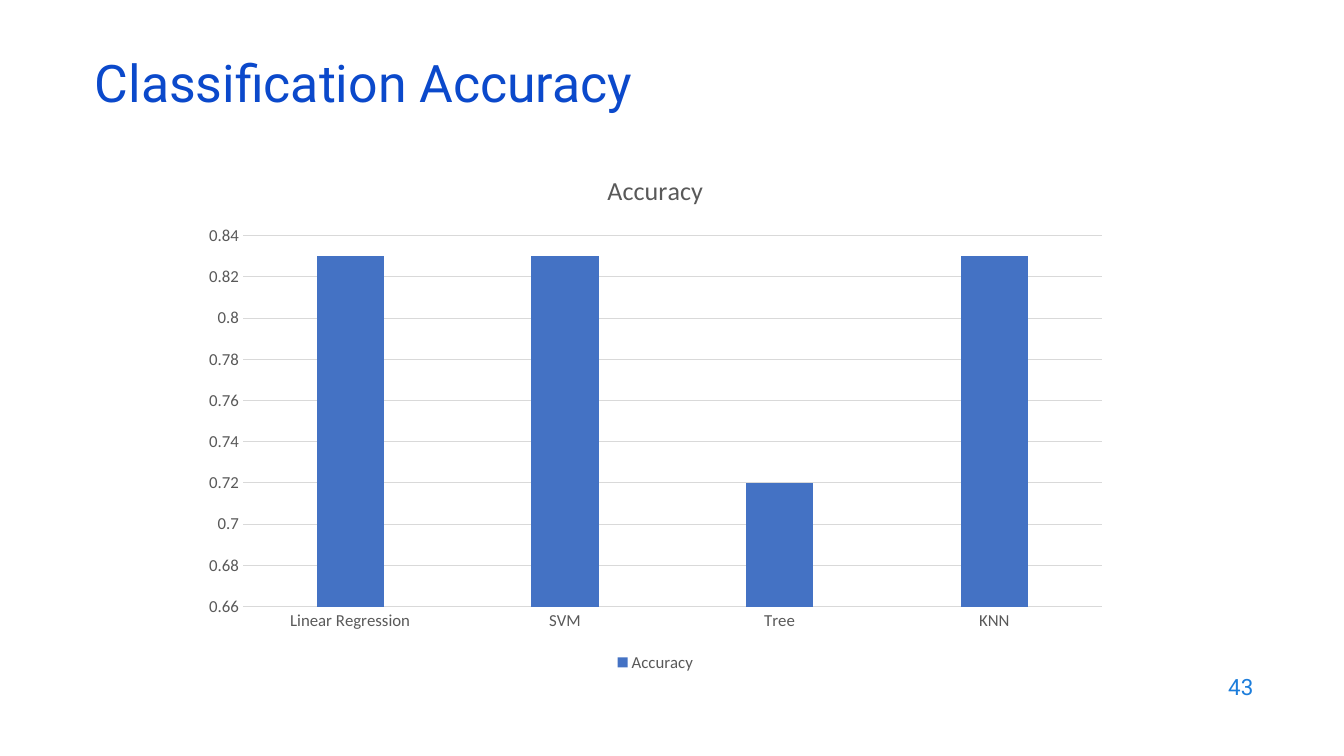
"""Build the classification accuracy slide with its column chart."""
from dataclasses import dataclass
from typing import Any

import pptx
import pptx.chart.data
import pptx.dml.color
import pptx.enum.chart
import pptx.enum.text
import pptx.util

Inches = pptx.util.Inches
Pt = pptx.util.Pt
Align = pptx.enum.text.PP_ALIGN
GREY, RULE, BAR = "595959", "D9D9D9", "4472C4"


@dataclass
class Label:
    text: str
    box: tuple[float, float, float, float]
    size: float
    color: str
    align: Any
    spacing: float


TITLE = Label("Classification Accuracy", (0.84, 0.59, 11.5, 0.6), 37, "0B49CB", Align.LEFT, 0.7)
PAGE_NUMBER = Label("43", (9.53, 6.59, 3, 0.44), 16, "1C7DDB", Align.RIGHT, 1)
ACCURACY = {"Linear Regression": 0.83, "SVM": 0.83, "Tree": 0.72, "KNN": 0.83}


def rgb(color: str) -> pptx.dml.color.RGBColor:
    return pptx.dml.color.RGBColor.from_string(color)


def apply(target: Any, values: dict[str, Any]) -> None:
    for name, value in values.items():
        setattr(target, name, value)


def style_font(font: Any, face: str, size: float, color: str) -> None:
    apply(font, {"name": face, "size": Pt(size), "bold": False})
    font.color.rgb = rgb(color)


def style_line(line: Any, color: str) -> None:
    line.color.rgb = rgb(color)
    line.width = Pt(0.75)


def write_label(shape: Any, label: Label) -> None:
    apply(shape, dict(zip(("left", "top", "width", "height"), map(Inches, label.box))))
    frame = shape.text_frame
    apply(frame, {
        "text": label.text,
        "word_wrap": True,
        "auto_size": pptx.enum.text.MSO_AUTO_SIZE.NONE,
        "vertical_anchor": pptx.enum.text.MSO_ANCHOR.MIDDLE,
    })
    paragraph = frame.paragraphs[0]
    apply(paragraph, {"alignment": label.align, "line_spacing": label.spacing})
    style_font(paragraph.runs[0].font, "Roboto", label.size, label.color)


def add_accuracy_chart(slide: Any) -> None:
    accuracy = pptx.chart.data.CategoryChartData()
    accuracy.categories = list(ACCURACY)
    accuracy.add_series("Accuracy", list(ACCURACY.values()))
    chart = slide.shapes.add_chart(
        pptx.enum.chart.XL_CHART_TYPE.COLUMN_CLUSTERED,
        *map(Inches, (1.89, 1.5, 9.22, 5.21)), accuracy,
    ).chart
    style_font(chart.font, "Calibri", 10, "000000")

    chart.has_title = True
    heading = chart.chart_title.text_frame
    heading.text = "Accuracy"
    style_font(heading.paragraphs[0].runs[0].font, "Calibri", 18.6, GREY)

    chart.has_legend = True
    apply(chart.legend, {
        "position": pptx.enum.chart.XL_LEGEND_POSITION.BOTTOM,
        "include_in_layout": False,
    })
    models, scores = chart.category_axis, chart.value_axis
    for part in (models.tick_labels, scores.tick_labels, chart.legend):
        style_font(part.font, "Calibri", 12, GREY)
    for axis in (models, scores):
        axis.major_tick_mark = pptx.enum.chart.XL_TICK_MARK.NONE
    apply(scores, {"minimum_scale": 0.66, "maximum_scale": 0.84, "major_unit": 0.02})
    style_line(models.format.line, RULE)
    style_line(scores.major_gridlines.format.line, RULE)
    scores.format.line.fill.background()

    columns = chart.plots[0]
    apply(columns, {"gap_width": 219, "overlap": -27, "vary_by_categories": False})
    bars = columns.series[0].format.fill
    bars.solid()
    bars.fore_color.rgb = rgb(BAR)


def main() -> None:
    deck = pptx.Presentation()
    apply(deck, {"slide_width": Inches(13.33), "slide_height": Inches(7.5)})
    slide = deck.slides.add_slide(deck.slide_layouts.get_by_name("Title Only"))
    write_label(slide.shapes.title, TITLE)
    write_label(slide.shapes.add_textbox(*map(Inches, PAGE_NUMBER.box)), PAGE_NUMBER)
    add_accuracy_chart(slide)
    deck.save("out.pptx")


if __name__ == "__main__":
    main()
